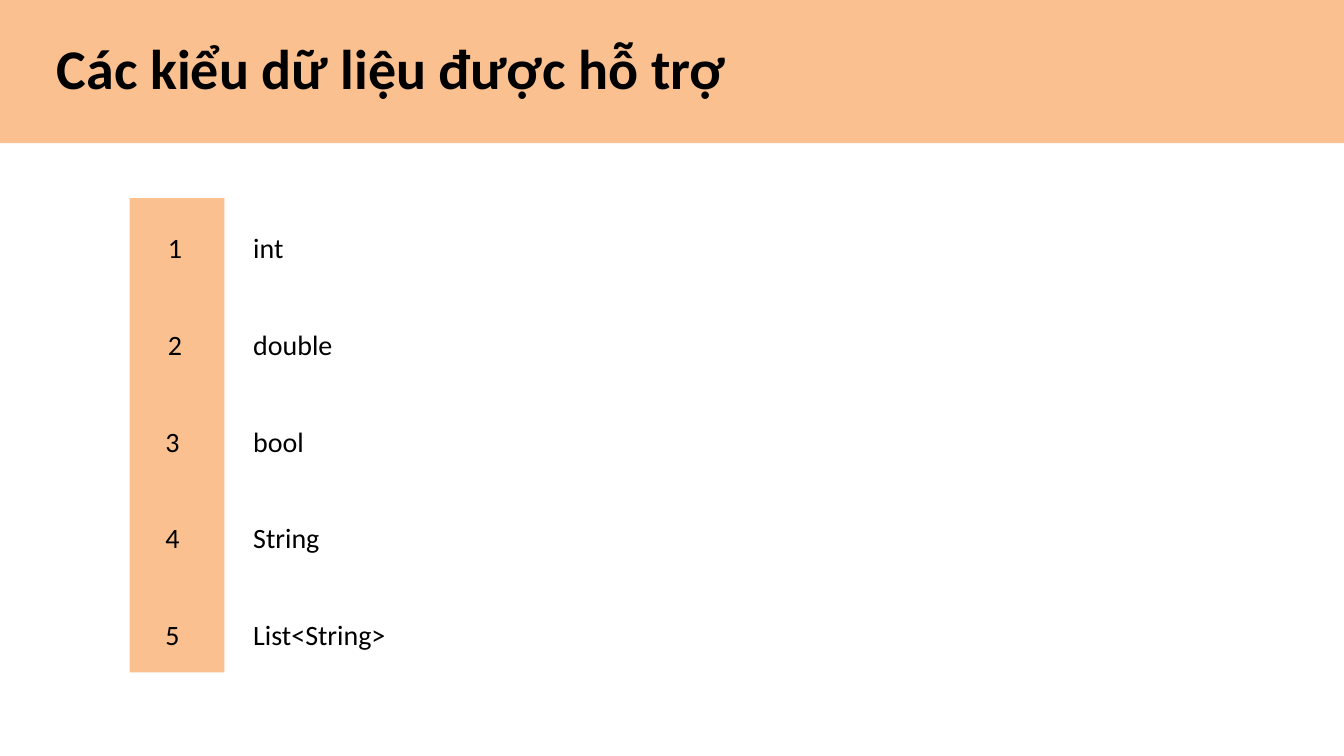
from pptx import Presentation
from pptx import util as u
from pptx.dml.color import RGBColor
from pptx.enum import shapes, text

PEACH = RGBColor(0xFA, 0xC0, 0x90)
BLACK = RGBColor(0x00, 0x00, 0x00)
FIRST_TOP, ROW_PITCH, ROW_HEIGHT = 8.59, 3.66, 1.55
NAME_LEFT = 9.32
ROWS = [
    ("int", 6.1, 1.83, 20.4),
    ("double", 6.1, 1.27, 20.12),
    ("bool", 6, 2.13, 27.53),
    ("String", 6, 1.27, 3.3),
    ("List<String>", 6, 1.07, 6.2),
]


class SlideBuilder:
    """Hold the style and current slide, and add its elements."""

    font, title_size, body_size = "Calibri", 60, 30

    def __init__(self, slide):
        self.s = slide

    def fill_text(self, sp, words, size, bold=False):
        tf = sp.text_frame
        tf.text = words
        tf.word_wrap = True
        tf.auto_size = text.MSO_AUTO_SIZE.SHAPE_TO_FIT_TEXT
        tf.vertical_anchor = text.MSO_ANCHOR.TOP
        p = tf.paragraphs[0]
        p.alignment = text.PP_ALIGN.LEFT
        font = p.runs[0].font
        font.name, font.size, font.bold = self.font, u.Pt(size), bold
        font.color.rgb = BLACK

    def band(self, *box):
        sp = self.s.shapes.add_shape(shapes.MSO_SHAPE.RECTANGLE, *map(u.Cm, box))
        sp.shadow.inherit = False
        sp.fill.solid()
        sp.fill.fore_color.rgb = PEACH
        sp.line.fill.background()
        return sp

    def title(self, words, band, *box):
        sp = self.s.shapes.title
        sp.left, sp.top, sp.width, sp.height = map(u.Cm, box)
        self.fill_text(sp, words, self.title_size, bold=True)
        sp.element.addprevious(band.element)

    def label(self, words, *box):
        sp = self.s.shapes.add_textbox(*map(u.Cm, box))
        self.fill_text(sp, words, self.body_size)


def main():
    prs = Presentation()
    prs.slide_width, prs.slide_height = u.Cm(50.8), u.Cm(28.58)
    builder = SlideBuilder(prs.slides.add_slide(prs.slide_layouts[5]))

    header = builder.band(-0.05, -0.03, 50.85, 5.44)
    builder.title("Các kiểu dữ liệu được hỗ trợ", header, 1.9, 1.14, 35.86, 2.82)
    builder.band(4.9, 7.49, 3.58, 17.93)

    for i, (name, number_left, number_width, name_width) in enumerate(ROWS):
        top = FIRST_TOP + i * ROW_PITCH
        builder.label(str(i + 1), number_left, top, number_width, ROW_HEIGHT)
        builder.label(name, NAME_LEFT, top, name_width, ROW_HEIGHT)

    prs.save("out.pptx")


if __name__ == "__main__":
    main()
